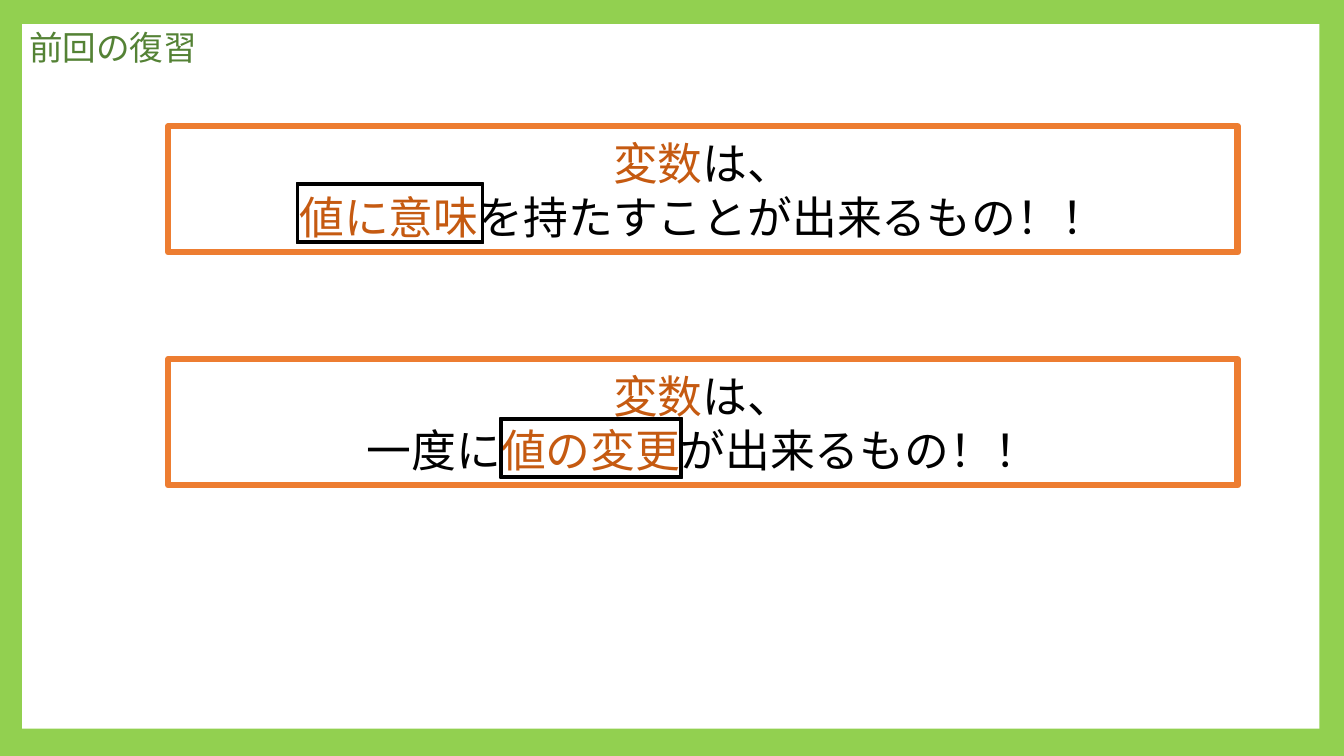
import dataclasses

import lxml.etree
import pptx
import pptx.dml.color
import pptx.enum.shapes
import pptx.enum.text
import pptx.oxml.ns
import pptx.util

Cm = pptx.util.Cm
Pt = pptx.util.Pt
RGB = pptx.dml.color.RGBColor.from_string
SHAPE = pptx.enum.shapes.MSO_SHAPE
ALIGN = pptx.enum.text.PP_ALIGN
ANCHOR = pptx.enum.text.MSO_ANCHOR


@dataclasses.dataclass(frozen=True)
class Theme:
    """Colours, font and type sizes of the slide."""
    font: str = "Noto Sans CJK JP"
    border: str = "92D050"
    paper: str = "FFFFFF"
    title: str = "548235"
    outline: str = "ED7D31"
    keyword: str = "C55A11"
    ink: str = "000000"
    title_size: int = 24
    body_size: int = 32


THEME = Theme()


def add_run(p, text, size, color):
    """Append one formatted run to a paragraph."""
    r = p.add_run()
    r.text = text
    r.font.size = Pt(size)
    r.font.name = THEME.font
    r.font.color.rgb = RGB(color)
    ea = lxml.etree.SubElement(r.font._element, pptx.oxml.ns.qn("a:ea"))
    ea.set("typeface", THEME.font)


def add_box(s, kind, box, fill, line=None, width=1):
    """Add a flat preset shape in a box of left, top, width, height in cm."""
    sp = s.shapes.add_shape(kind, *map(Cm, box))
    sp.shadow.inherit = False
    sp.fill.solid()
    sp.fill.fore_color.rgb = RGB(fill)
    if line:
        sp.line.color.rgb = RGB(line)
        sp.line.width = Pt(width)
    else:
        sp.line.fill.background()
    return sp


def add_page(s, box):
    """Draw the green border, the white page and the title in its corner."""
    s.background.fill.solid()
    s.background.fill.fore_color.rgb = RGB(THEME.border)
    add_box(s, SHAPE.RECTANGLE, box, THEME.paper)
    left, top, _, _ = box
    sp = s.shapes.title
    sp.element.getparent().append(sp.element)
    sp.left, sp.top = Cm(left - 0.08), Cm(top - 0.05)
    sp.width, sp.height = Cm(4.75), Cm(1.27)
    tf = sp.text_frame
    tf.auto_size = pptx.enum.text.MSO_AUTO_SIZE.NONE
    tf.word_wrap = False
    tf.vertical_anchor = ANCHOR.TOP
    p = tf.paragraphs[0]
    p.alignment = ALIGN.LEFT
    add_run(p, "前回の復習", THEME.title_size, THEME.title)


def add_statement(s, box, before, keyword, after, frame):
    """Add an outlined statement and frame its keyword; frame is left, top, width from the box."""
    sp = add_box(s, SHAPE.RECTANGLE, box, THEME.paper, THEME.outline, 4.5)
    tf = sp.text_frame
    tf.word_wrap = True
    tf.vertical_anchor = ANCHOR.MIDDLE
    lines = (
        (("変数", THEME.keyword), ("は、", THEME.ink)),
        ((before, THEME.ink), (keyword, THEME.keyword), (after, THEME.ink)),
    )
    for i, line in enumerate(lines):
        p = tf.add_paragraph() if i else tf.paragraphs[0]
        p.alignment = ALIGN.CENTER
        for text, color in line:
            if text:
                add_run(p, text, THEME.body_size, color)
    dx, dy, width = frame
    mark = add_box(s, SHAPE.FRAME, (box[0] + dx, box[1] + dy, width, 1.52),
                   THEME.ink, THEME.ink)
    mark.adjustments[0] = 0.04


def main():
    """Build the review slide and save it."""
    prs = pptx.Presentation()
    prs.slide_width, prs.slide_height = Cm(33.87), Cm(19.05)
    s = prs.slides.add_slide(prs.slide_layouts[5])
    add_page(s, (0.56, 0.61, 32.69, 17.75))
    statements = (
        ("", "値に意味", "を持たすことが出来るもの！！", (3.23, 1.43, 4.72)),
        ("一度に", "値の変更", "が出来るもの！！", (8.36, 1.48, 4.6)),
    )
    for i, statement in enumerate(statements):
        add_statement(s, (4.24, 3.18 + i * 5.87, 26.95, 3.18), *statement)
    prs.save("out.pptx")


if __name__ == "__main__":
    main()
